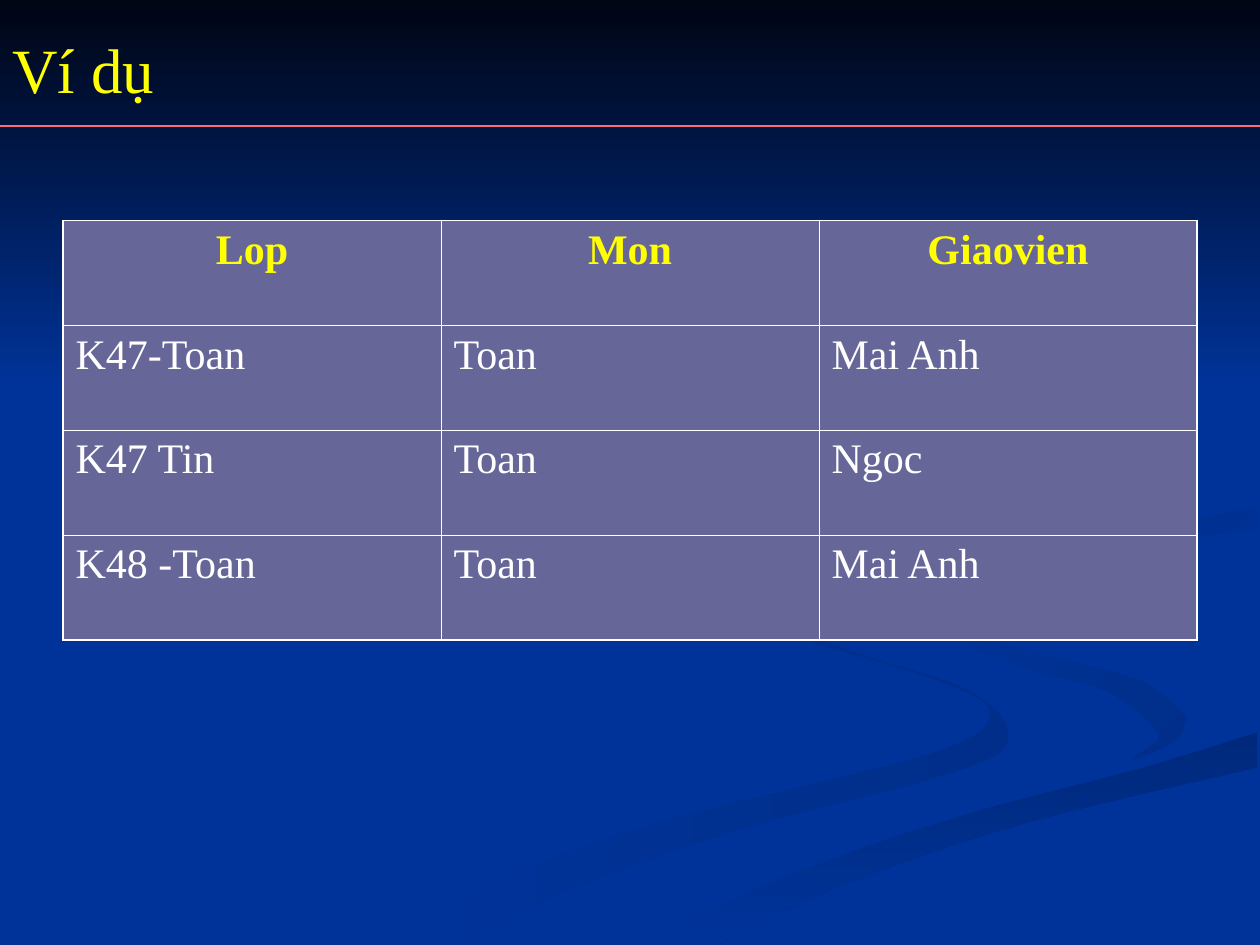
from lxml import etree
from pptx import Presentation
from pptx.dml.color import RGBColor
from pptx.enum import shapes, text
from pptx.oxml import ns
from pptx.util import Inches, Pt

FONT = "Times New Roman"
BLUE, WHITE, YELLOW, GREY, PINK = "003399", "FFFFFF", "FFFF00", "666699", "FE687A"
DUSK, NAVY, NIGHT = "002E8A", "002B81", "000514"
WIDE, HIGH = 10, 7.5
THICK, THIN = 1.08, 0.45
ROWS = [
    ("Lop", "Mon", "Giaovien"),
    ("K47-Toan", "Toan", "Mai Anh"),
    ("K47 Tin", "Toan", "Ngoc"),
    ("K48 -Toan", "Toan", "Mai Anh"),
]


def rgb(code):
    return RGBColor.from_string(code)


def curve(*knots, steps=5):
    """Return points of a smooth (Catmull-Rom) curve through the knots."""
    ends = [knots[0], *knots, knots[-1]]
    points = []
    for a, b, c, d in zip(ends, ends[1:], ends[2:], ends[3:]):
        for step in range(steps):
            t = step / steps
            points.append(tuple(
                q + t / 2 * (r - p + t * (2 * p - 5 * q + 4 * r - s
                                          + t * (3 * (q - r) + s - p)))
                for p, q, r, s in zip(a, b, c, d)))
    return points + [knots[-1]]


def paint(shape, start, end=None, angle=0):
    """Fill with one colour, or a gradient whose angle turns clockwise."""
    shape.shadow.inherit = False
    shape.line.fill.background()
    if end is None:
        shape.fill.solid()
        shape.fill.fore_color.rgb = rgb(start)
        return
    shape.fill.gradient()
    shape.fill.gradient_angle = 360 - angle
    for stop, color in zip(shape.fill.gradient_stops, (start, end)):
        stop.color.rgb = rgb(color)


def area(slide, *edges):
    """Close the edges, joined in order, into one outline."""
    first, *rest = [(Inches(x), Inches(y)) for edge in edges for x, y in edge]
    pen = slide.shapes.build_freeform(*first)
    pen.add_line_segments(rest, close=True)
    return pen.convert_to_shape()


def band(slide, near, far):
    """Outline the strip between two edges that run the same way."""
    return area(slide, near, far[::-1])


def stream(slide):
    right = curve((5.75, 4.59), (5.94, 4.85), (6.82, 5.19), (7.67, 5.47),
                  (8, 5.81), (7.69, 6.09), (5.94, 6.56), (4.66, 7), (3.61, 7.49))
    left = curve((5.75, 4.59), (5.72, 4.76), (6.31, 5.05), (7.41, 5.39),
                 (7.86, 5.66), (7.39, 5.98), (5.39, 6.49), (4.17, 6.9), (3, 7.49))
    paint(band(slide, right, left), DUSK, BLUE, 180)


def delta(slide):
    """Draw hook, road and branch, with the plain land that they border."""
    rim = curve((7.24, 4.64), (7.45, 4.9), (8.11, 5.15), (9.05, 5.4), (9.43, 5.7))
    tail = curve((9.43, 5.7), (9.32, 5.89), (8.94, 6.05))
    inside = curve((7.24, 4.64), (7.33, 4.88), (7.97, 5.24), (8.8, 5.49),
                   (9.18, 5.81), (9.11, 5.93), (8.94, 6.05))
    paint(band(slide, rim + tail, inside), DUSK, BLUE, 225)

    verge = curve((5.03, 7.49), (6.3, 6.93), (7.64, 6.47), (9.04, 6.1), (9.98, 5.81))
    kerb = curve((5.71, 7.49), (6.14, 7.26), (6.95, 6.92), (8.21, 6.51), (9.98, 6.09))
    paint(band(slide, verge, kerb), "00297C", BLUE, 90)

    shore = curve((9.43, 5.7), (9.19, 5.97), (8.13, 6.25), (6.63, 6.68),
                  (5.73, 7.03), (4.77, 7.49))
    bay = curve((9.98, 5.38), (9.04, 5.19), (8.17, 4.92), (7.81, 4.6))
    fork = curve((7.81, 4.6), (8.22, 4.34), (9.33, 4.15), (9.98, 4.02))
    top = curve((9.98, 3.87), (8.74, 4.08), (7.7, 4.27), (7.24, 4.64))
    paint(area(slide, rim, shore, verge, bay, fork, top), BLUE)

    under = curve((7.81, 4.6), (7.91, 4.78), (8.26, 4.96), (8.05, 4.72),
                  (8.43, 4.48), (9.36, 4.29), (9.98, 4.2))
    paint(band(slide, fork, under), BLUE, "002C85", 225)


def loop(slide):
    right = curve((7.62, 2.33), (8.43, 2.75), (8.94, 3.44), (8.41, 3.96),
                  (6.83, 4.3), (5.93, 4.7), (6.22, 5))
    left = curve((7.62, 2.33), (8.46, 2.79), (8.89, 3.35), (8.3, 3.82),
                 (6.49, 4.2), (5.77, 4.62), (6.22, 5))
    paint(band(slide, right, left), BLUE, NAVY, 225)


def sky(slide):
    shape = slide.shapes.add_shape(shapes.MSO_SHAPE.RECTANGLE, 0, 0,
                                   Inches(WIDE), Inches(3.08))
    paint(shape, NIGHT, BLUE, 90)


def style(frame, size, color, bold=False):
    for run in frame.paragraphs[0].runs:
        font = run.font
        font.name, font.size, font.bold = FONT, Pt(size), bold
        font.color.rgb = rgb(color)


def border(cell, widths):
    """Set left, right, top and bottom lines, widths in points."""
    props = cell._tc.get_or_add_tcPr()
    for spot, (side, width) in enumerate(zip("LRTB", widths)):
        line = etree.Element(ns.qn("a:ln" + side), w=str(Pt(width)))
        fill = etree.SubElement(line, ns.qn("a:solidFill"))
        etree.SubElement(fill, ns.qn("a:srgbClr"), val=WHITE)
        props.insert(spot, line)


def grid(slide, rows):
    high, wide = len(rows), len(rows[0])
    table = slide.shapes.add_table(high, wide, Inches(0.5), Inches(1.75),
                                   Inches(9), Inches(3.33)).table
    table.first_row = table.horz_banding = False
    for r, row in enumerate(rows):
        head = r == 0
        for c, word in enumerate(row):
            cell = table.cell(r, c)
            cell.text_frame.text = word
            style(cell.text_frame, 24, YELLOW if head else WHITE, head)
            if head:
                cell.text_frame.paragraphs[0].alignment = text.PP_ALIGN.CENTER
            cell.fill.solid()
            cell.fill.fore_color.rgb = rgb(GREY)
            outer = (c == 0, c == wide - 1, head, r == high - 1)
            border(cell, [THICK if edge else THIN for edge in outer])


def title(slide, words):
    box = slide.shapes.add_textbox(0, 0, Inches(8.84), Inches(1.08))
    frame = box.text_frame
    frame.word_wrap = True
    frame.vertical_anchor = text.MSO_ANCHOR.MIDDLE
    frame.text = words
    style(frame, 36, YELLOW)


def rule(slide, top):
    line = slide.shapes.add_connector(shapes.MSO_CONNECTOR.STRAIGHT, 0,
                                      Inches(top), Inches(WIDE), Inches(top))
    line.line.color.rgb = rgb(PINK)
    line.line.width = Pt(0.75)
    etree.SubElement(line._element.spPr, ns.qn("a:effectLst"))


def main():
    deck = Presentation()
    deck.slide_width, deck.slide_height = Inches(WIDE), Inches(HIGH)
    slide = deck.slides.add_slide(deck.slide_layouts[6])
    back = slide.background.fill
    back.solid()
    back.fore_color.rgb = rgb(BLUE)
    for draw in (stream, delta, loop, sky):
        draw(slide)
    grid(slide, ROWS)
    title(slide, "Ví dụ")
    rule(slide, 1)
    deck.save("out.pptx")


if __name__ == "__main__":
    main()
